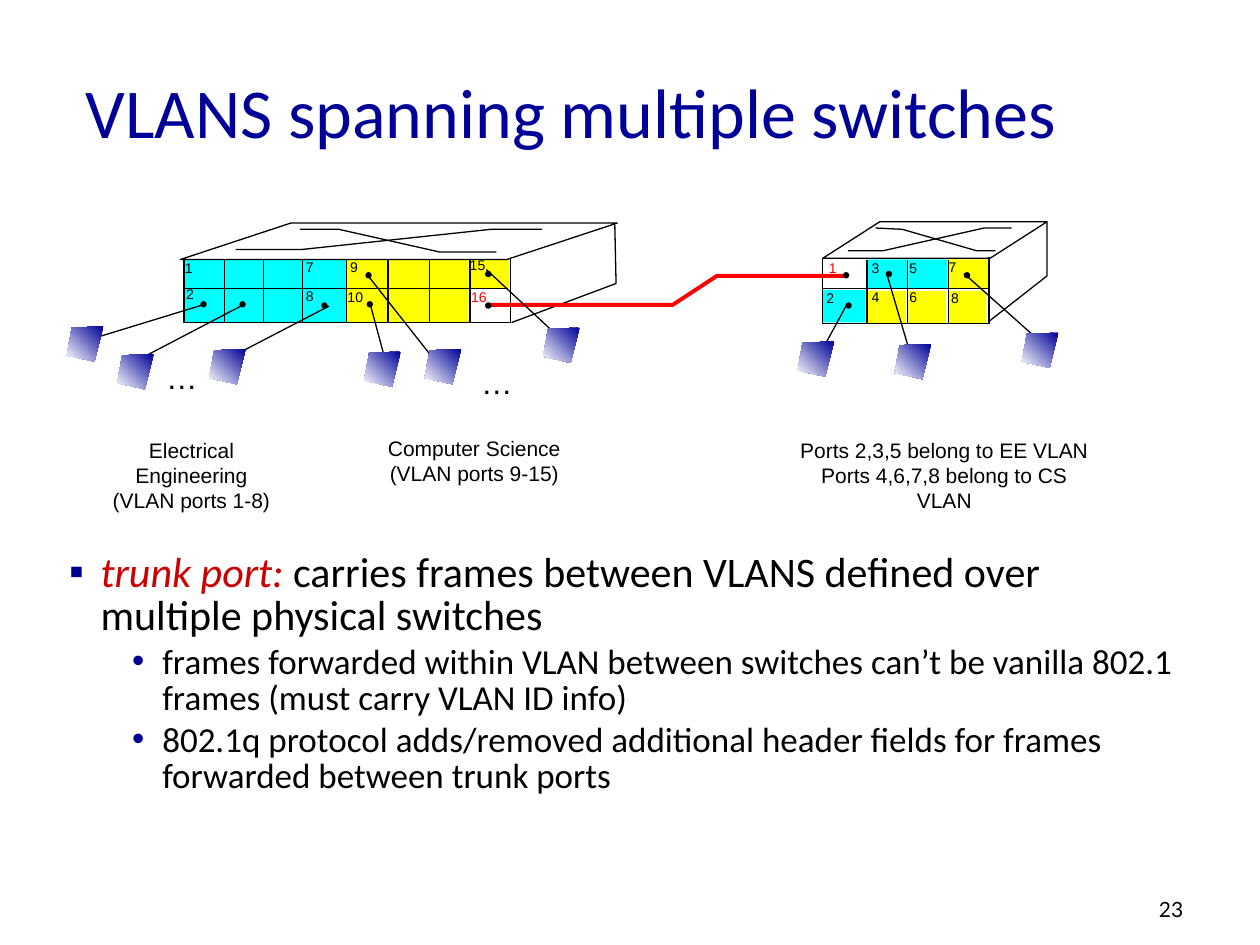
from lxml import etree
from pptx import Presentation
from pptx.dml.color import RGBColor
from pptx.enum.shapes import MSO_CONNECTOR, MSO_SHAPE as SHAPE
from pptx.enum.text import MSO_ANCHOR, PP_ALIGN
from pptx.oxml.ns import qn
from pptx.util import Inches, Pt

BLACK, WHITE, RED = "000000", "FFFFFF", "FF0000"
EE, CS, NAVY = "00FFFF", "FFFF00", "000099"
rgb = RGBColor.from_string

prs = Presentation()
prs.slide_width, prs.slide_height = Inches(10), Inches(7.5)
s = prs.slides.add_slide(prs.slide_layouts[5])


def add_text(x, y, w, h, lines, size, color=BLACK, font="Arial", align=PP_ALIGN.LEFT, wrap=False):
    sp = s.shapes.add_textbox(Inches(x), Inches(y), Inches(w), Inches(h))
    tf = sp.text_frame
    tf.word_wrap = wrap
    for i, line in enumerate(lines):
        p = tf.paragraphs[0] if i == 0 else tf.add_paragraph()
        p.alignment = align
        r = p.add_run()
        r.text = line
        for key, value in {"size": Pt(size), "name": font}.items():
            setattr(r.font, key, value)
        r.font.color.rgb = rgb(color)


def add_outline(points, close=False):
    (x, y), *rest = [(Inches(px), Inches(py)) for px, py in points]
    fb = s.shapes.build_freeform(x, y)
    fb.add_line_segments(rest, close=close)
    sp = fb.convert_to_shape()
    sp.shadow.inherit = False
    return sp


# Title
title = s.shapes.title
title.left, title.top, title.width, title.height = map(Inches, (0.58, 0.25, 8.5, 1.25))
tf = title.text_frame
tf.vertical_anchor = MSO_ANCHOR.MIDDLE
p = tf.paragraphs[0]
p.alignment = PP_ALIGN.LEFT
r = p.add_run()
r.text = "VLANS spanning multiple switches"
r.font.name, r.font.size = "Calibri", Pt(40)
r.font.color.rgb = rgb(NAVY)

# Port blocks coloured by VLAN, then the connection dots are added further down
port_blocks = [
    (1.46, 2.06, 1.29, 0.5, EE), (2.75, 2.06, 0.97, 0.5, CS), (3.72, 2.05, 0.32, 0.24, CS),
    (6.53, 2.3, 0.34, 0.26, EE), (6.89, 2.06, 0.31, 0.23, EE), (7.21, 2.06, 0.31, 0.23, EE),
    (7.52, 2.06, 0.32, 0.23, CS),
    (6.89, 2.31, 0.3, 0.26, CS), (7.21, 2.31, 0.3, 0.26, CS), (7.53, 2.31, 0.3, 0.26, CS),
]
for x, y, w, h, color in port_blocks:
    sp = s.shapes.add_shape(SHAPE.RECTANGLE, Inches(x), Inches(y), Inches(w), Inches(h))
    sp.shadow.inherit = False
    sp.fill.solid()
    sp.fill.fore_color.rgb = rgb(color)
    sp.line.fill.background()

# Switch tops
for x, y, w, h, slant in [(1.43, 1.77, 3.47, 0.29, 3.03), (6.53, 1.76, 1.78, 0.29, 1.56)]:
    sp = s.shapes.add_shape(SHAPE.PARALLELOGRAM, Inches(x), Inches(y), Inches(w), Inches(h))
    sp.adjustments[0] = slant
    sp.shadow.inherit = False
    sp.fill.solid()
    sp.fill.fore_color.rgb = rgb(WHITE)
    sp.line.color.rgb = rgb(BLACK)
    sp.line.width = Pt(0.75)

# Switch fronts, sides and crossed marks, then the trunk link
outlines = [
    [(1.46, 2.05), (1.46, 2.56), (4.05, 2.56), (4.05, 2.05)],
    [(4.06, 2.56), (4.89, 2.25), (4.88, 1.77)],
    [(1.87, 1.98), (2.4, 1.98), (3.9, 1.82), (4.3, 1.82)],
    [(2.38, 1.82), (2.69, 1.82), (3.49, 2), (3.94, 2)],
    [(6.53, 2.05), (6.53, 2.57), (7.85, 2.57), (7.85, 2.04)],
    [(8.31, 1.76), (8.31, 2.19), (7.85, 2.55)],
    [(6.73, 1.99), (7.01, 1.99), (7.81, 1.81), (8.03, 1.81)],
    [(6.95, 1.81), (7.16, 1.82), (7.75, 1.99), (7.9, 1.99)],
]
trunk = [(3.86, 2.42), (5.34, 2.42), (5.69, 2.19), (6.72, 2.19)]
for points in outlines + [trunk]:
    sp = add_outline(points)
    sp.fill.background()
    sp.line.color.rgb = rgb(RED if points is trunk else BLACK)
    sp.line.width = Pt(2.25 if points is trunk else 0.75)

# Port grid and cables to the hosts
dividers = [1.78, 2.09, 2.4, 2.75, 3.08, 3.41, 3.73, 6.88, 7.2, 7.53]
grid = [(x, 2.06, x, 2.56) for x in dividers]
grid += [(1.46, 2.29, 4.03, 2.29), (6.53, 2.29, 7.86, 2.29)]
cables = [
    (1.61, 2.42, 0.63, 2.72), (1.93, 2.42, 1.05, 2.88), (2.61, 2.43, 1.84, 2.83),
    (2.94, 2.42, 3.05, 2.83), (2.93, 2.2, 3.45, 2.86), (3.86, 2.14, 4.43, 2.67),
    (6.72, 2.42, 6.54, 2.75), (7.04, 2.18, 7.24, 2.86), (7.65, 2.17, 8.21, 2.67),
]
for ends in grid + cables:
    line = s.shapes.add_connector(MSO_CONNECTOR.STRAIGHT, *map(Inches, ends))
    line.line.color.rgb = rgb(BLACK)
    line.line.width = Pt(0.75)
    etree.SubElement(line._element.spPr, qn("a:effectLst"))

dots = [(1.59, 2.39), (1.9, 2.39), (2.55, 2.4), (2.91, 2.39), (2.9, 2.16), (3.85, 2.15),
        (3.85, 2.4), (6.71, 2.4), (6.69, 2.16), (7.03, 2.15), (7.65, 2.16)]
for x, y in dots:
    sp = s.shapes.add_shape(SHAPE.OVAL, Inches(x), Inches(y), Inches(0.05), Inches(0.05))
    sp.shadow.inherit = False
    sp.fill.solid()
    sp.fill.fore_color.rgb = rgb(BLACK)
    sp.line.fill.background()

# Port numbers; the trunk ports are red
port_numbers = [
    ("1", 1.37, 2.01, BLACK), ("2", 1.38, 2.22, BLACK), ("7", 2.33, 2, BLACK),
    ("8", 2.33, 2.23, BLACK), ("9", 2.68, 2, BLACK), ("10", 2.66, 2.24, BLACK),
    ("15", 3.63, 1.99, BLACK), ("16", 3.64, 2.24, RED),
    ("1", 6.48, 2.01, RED), ("2", 6.46, 2.25, BLACK), ("3", 6.82, 2.01, BLACK),
    ("4", 6.82, 2.24, BLACK), ("5", 7.12, 2.01, BLACK), ("6", 7.12, 2.24, BLACK),
    ("7", 7.43, 2, BLACK), ("8", 7.45, 2.25, BLACK),
]
for number, x, y, color in port_numbers:
    add_text(x, y, 0.26 if len(number) == 1 else 0.33, 0.23, [number], 8, color)

# Hosts
hosts = [(0.53, 2.59), (0.93, 2.81), (1.66, 2.77), (2.89, 2.79), (3.37, 2.77),
         (4.31, 2.6), (6.33, 2.71), (8.11, 2.64), (7.1, 2.73)]
host_corners = [(0.29, 0), (0.04, 0.01), (0, 0.23), (0.22, 0.28)]
for x, y in hosts:
    sp = add_outline([(x + dx, y + dy) for dx, dy in host_corners], close=True)
    sp.fill.gradient()
    sp.fill.gradient_angle = 225
    for stop, color in zip(sp.fill.gradient_stops, (NAVY, WHITE)):
        stop.color.rgb = rgb(color)
    sp.line.fill.background()

# Captions
for x, y in [(1.22, 2.79), (3.72, 2.83)]:
    add_text(x, y, 0.45, 0.4, ["…"], 18)
captions = [
    (0.77, 3.42, 1.5, 0.7, ["Electrical Engineering", "(VLAN ports 1-8)"]),
    (2.98, 3.41, 1.57, 0.5, ["Computer Science", "(VLAN ports 9-15)"]),
    (6.18, 3.42, 2.63, 0.5, ["Ports 2,3,5 belong to EE VLAN", "Ports 4,6,7,8 belong to CS VLAN"]),
]
for x, y, w, h, lines in captions:
    add_text(x, y, w, h, lines, 12, align=PP_ALIGN.CENTER, wrap=True)

# Bullets: level, indent, hanging, mark, size, space before, runs
bullets = [
    (0, 0.25, 0.25, "▪", 24, 0, [
        ("trunk port: ", "CC0000", True),
        ("carries frames between VLANS defined over multiple physical switches", BLACK, False)]),
    (1, 0.74, 0.24, "•", 20, 4, [
        ("frames forwarded within VLAN between switches can’t be vanilla 802.1 frames "
         "(must carry VLAN ID info)", BLACK, False)]),
    (1, 0.74, 0.24, "•", 20, 4, [
        ("802.1q protocol adds/removed additional header fields for frames "
         "forwarded between trunk ports", BLACK, False)]),
]
body = s.shapes.add_textbox(Inches(0.45), Inches(4.34), Inches(9.07), Inches(2.94))
tf = body.text_frame
tf.word_wrap = True
for i, (level, indent, hanging, mark, size, before, runs) in enumerate(bullets):
    p = tf.paragraphs[0] if i == 0 else tf.add_paragraph()
    p.level, p.line_spacing, p.space_before = level, 0.85, Pt(before)
    pPr = p._p.get_or_add_pPr()
    pPr.set("marL", str(Inches(indent)))
    pPr.set("indent", str(-Inches(hanging)))
    bu_color = etree.SubElement(pPr, qn("a:buClr"))
    etree.SubElement(bu_color, qn("a:srgbClr"), val="000090")
    etree.SubElement(pPr, qn("a:buFont"), typeface="Arial")
    etree.SubElement(pPr, qn("a:buChar"), char=mark)
    for text, color, italic in runs:
        r = p.add_run()
        r.text = text
        for key, value in {"name": "Calibri", "size": Pt(size), "italic": italic}.items():
            setattr(r.font, key, value)
        r.font.color.rgb = rgb(color)

# Slide number
add_text(9.1, 7.07, 0.74, 0.3, ["23"], 12, font="Lato", wrap=True)

prs.save("out.pptx")
